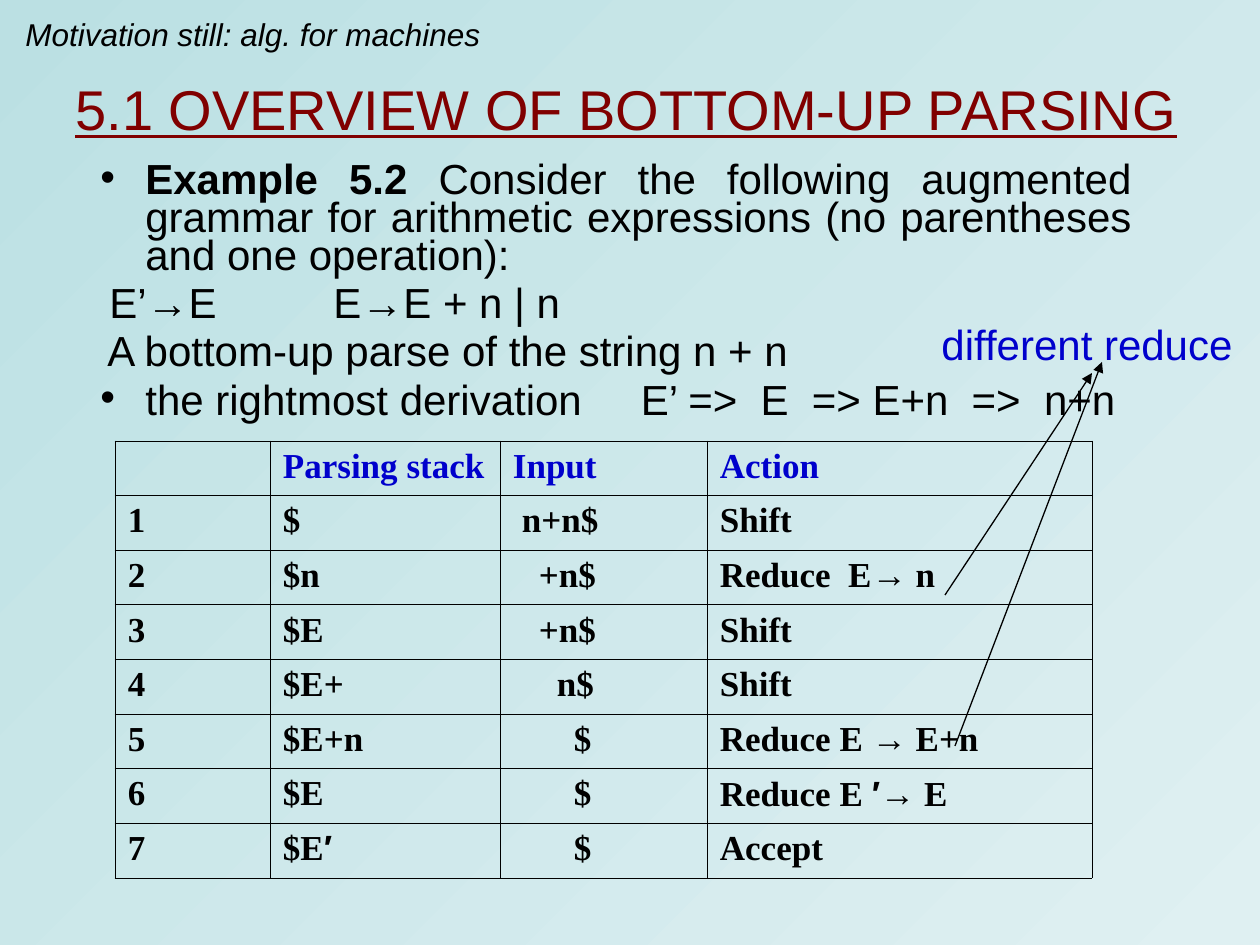
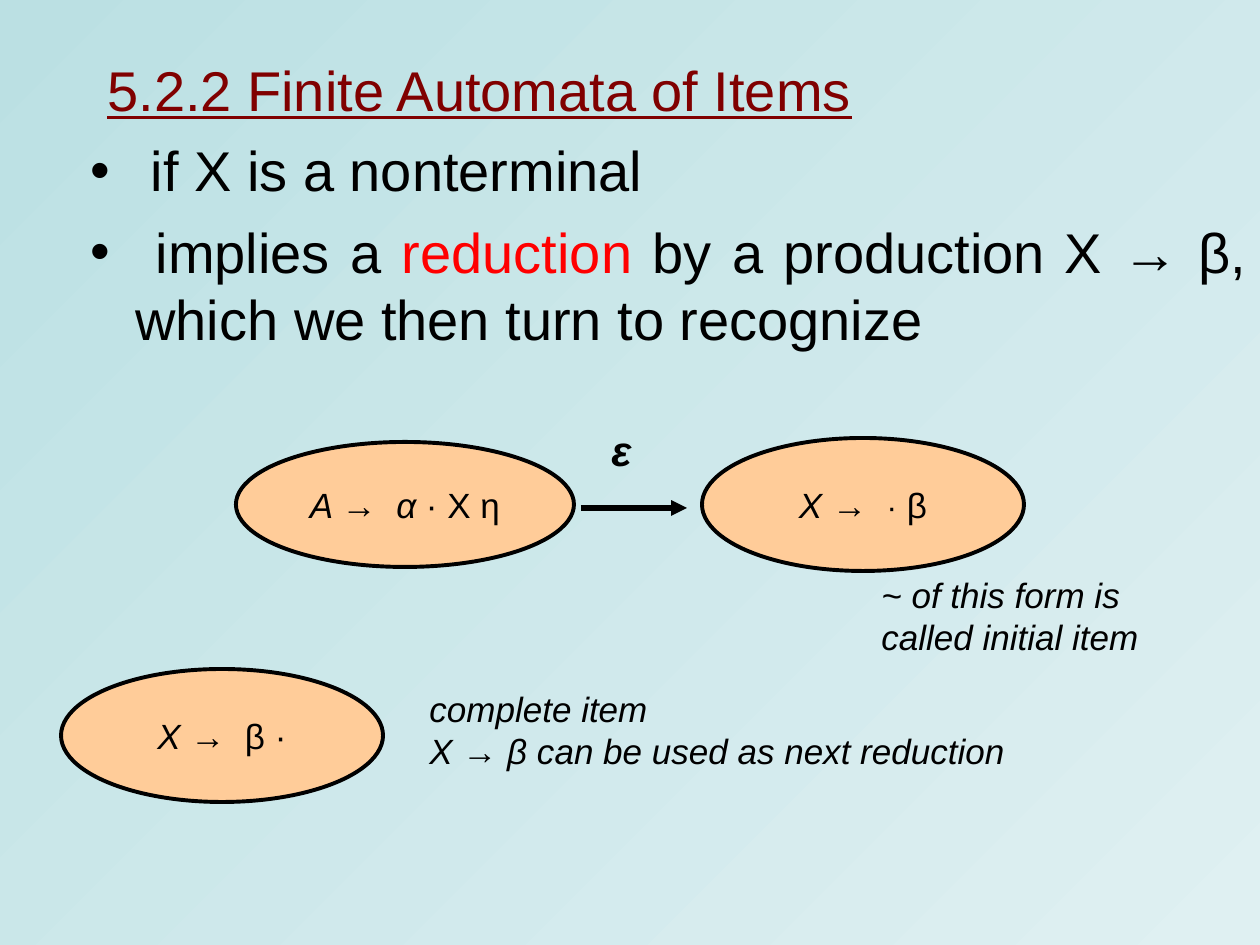
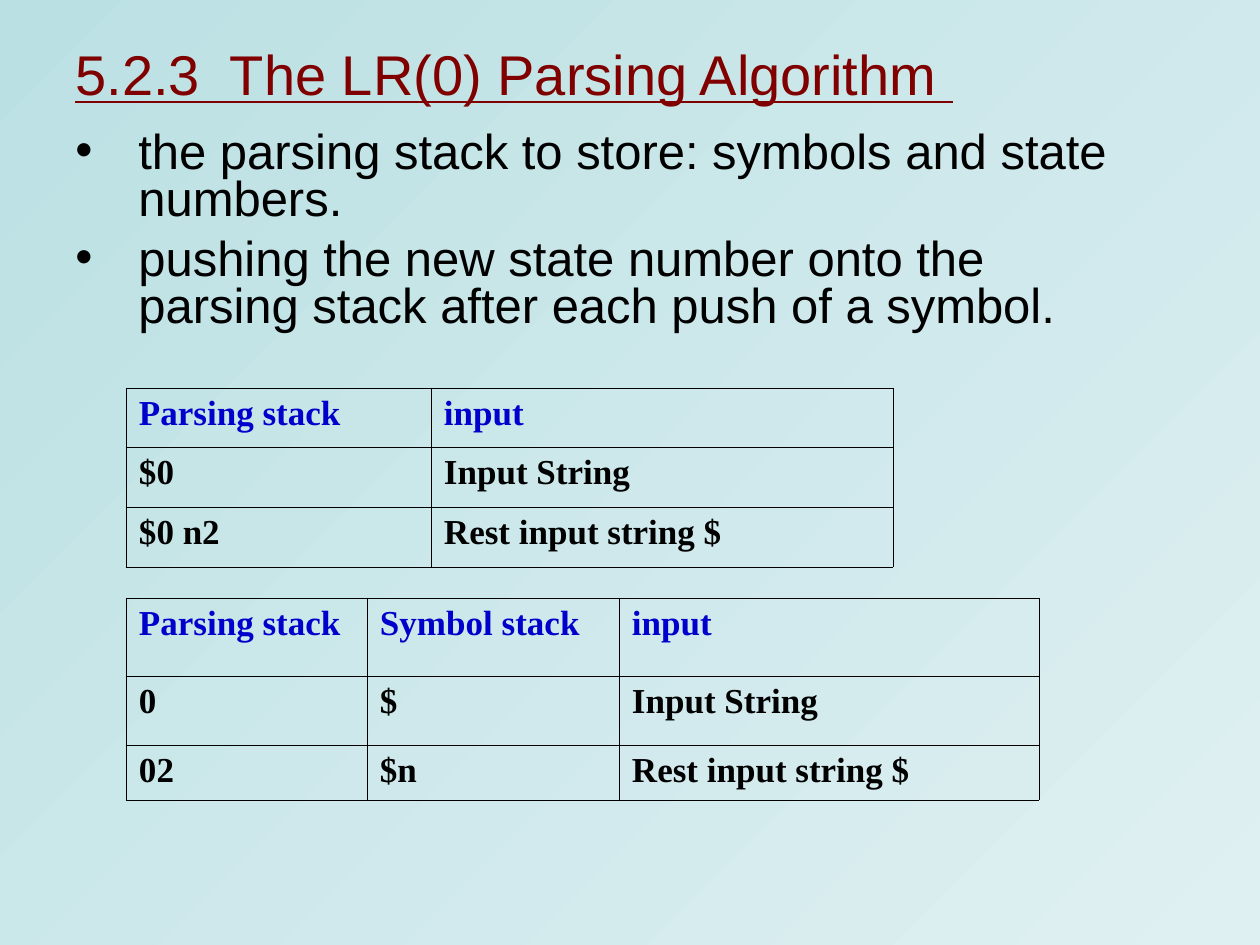
"""Build three slides on bottom-up parsing, item automata and LR(0) parsing."""
from itertools import groupby

from lxml import etree
from pptx import Presentation, util as u
from pptx.dml.color import RGBColor
from pptx.enum import shapes, text
from pptx.oxml.ns import qn

SCALE = 914400 / 126
BLACK, MAROON, BLUE, RED, PEACH = "000000", "800000", "0000CC", "FF0000", "FFCC99"
GRADIENT = ("BBE0E3", "DFF0F2")
JUSTIFY, CENTER = text.PP_ALIGN.JUSTIFY, text.PP_ALIGN.CENTER
MIDDLE = text.MSO_ANCHOR.MIDDLE

TITLE = {"size": 32, "color": MAROON, "underline": True}
ITALIC = {"italic": True}
NOTE = {"size": 20, "italic": True}
STATE = {"size": 20}
BULLET = {"bullet": "•", "left": 60, "indent": -45}
WIDE_BULLET = {"bullet": "•", "left": 63, "indent": -63}
TIGHT = {"line_spacing": 0.75, "space_before": u.Pt(6)}
LOOSE = {"space_before": u.Pt(8), "alignment": JUSTIFY}
COMPACT = {"line_spacing": 0.8, "space_before": u.Pt(7)}

OVERVIEW = {
    "title": ("5.1 OVERVIEW OF BOTTOM-UP PARSING", (63, 21, 1176, 174)),
    "body": ((73, 158, 1071, 284), 24, [
        ([("Example 5.2", {"bold": True}),
          " Consider the following augmented grammar for arithmetic expressions "
          "(no parentheses and one operation):"], {**BULLET, **TIGHT, "alignment": JUSTIFY}),
        (["E’→E", (" ", {"spacing": 60}), "E→E + n | n"], {**TIGHT, "indent": 24}),
        (["A bottom-up parse of the string n + n"], {**TIGHT, "indent": 22}),
        (["the rightmost derivation", (" ", {"spacing": 27}), "E’ =>  E  => E+n  =>  n+n"],
         {**BULLET, **TIGHT, "alignment": JUSTIFY}),
    ]),
    "tables": [((115, 441), (155, 230, 207, 385), [437 / 8] * 8, [
        ("", "Parsing stack", "Input", "Action"),
        ("1", "$", ("n+n$", 9), "Shift"),
        ("2", "$n", ("+n$", 26), "Reduce  E→ n"),
        ("3", "$E", ("+n$", 26), "Shift"),
        ("4", "$E+", ("n$", 44), "Shift"),
        ("5", "$E+n", ("$", 61), "Reduce E → E+n"),
        ("6", "$E", ("$", 61), "Reduce E ′→ E"),
        ("7", "$E′", ("$", 61), "Accept"),
    ])],
    "arrows": [((945, 595), (1092, 373), 0.75), ((955, 746), (1102, 362), 0.75)],
    "labels": [
        ((920, 315, 334, 58), {"size": 24, "color": BLUE},
         [(["different reduce"], {"alignment": CENTER})], {"anchor": MIDDLE, "wrap": False}),
        ((13, 9, 480, 50), {"size": 18, "italic": True},
         [(["Motivation still: alg. for machines"], {})], {"wrap": False}),
    ],
}

AUTOMATA = {
    "title": ("5.2.2 Finite Automata of Items", (95, 53, 1071, 73)),
    "body": ((63, 137, 1197, 410), 32, [
        ([" if X is a nonterminal"], {**BULLET, **LOOSE, "line_spacing": 0.9}),
        ([" implies a ", ("reduction", {"color": RED}),
          " by a production X → β, which we then turn to recognize"], {**BULLET, **LOOSE}),
    ]),
    "states": [
        ((236, 442, 338, 125), [("A ", ITALIC), "→  ", ("α", ITALIC), " · X η"]),
        ((702, 438, 322, 133), [("X ", ITALIC), "→  ", ("·", {"size": 18}), " β"]),
        ((61, 669, 322, 133), [("X ", ITALIC), "→  β ·"]),
    ],
    "arrows": [((581, 508), (687, 508), 3)],
    "labels": [
        ((573, 425, 97, 49), {"size": 24, "bold": True, "italic": True},
         [(["ε"], {"alignment": CENTER})], {"anchor": MIDDLE, "wrap": False}),
        ((869, 567, 284, 97), NOTE, [(["~ of this form is called initial item"], {})], {}),
        ((417, 681, 601, 97), NOTE,
         [(["complete item"], {}), (["X → β can be used as next reduction"], {})],
         {"wrap": False}),
    ],
}

ALGORITHM = {
    "title": ("5.2.3  The LR(0) Parsing Algorithm ", (63, 21, 1176, 105)),
    "body": ((63, 126, 1061, 231), 28, [
        ([line], {**WIDE_BULLET, **COMPACT}) for line in (
            "the parsing stack to store: symbols and state numbers.",
            "pushing the new state number onto the parsing stack after each push of a symbol.")
    ]),
    "tables": [
        ((126, 388), (305, 462), [179 / 3] * 3, [
            ("Parsing stack", "input"),
            ("$0", "Input String"),
            ("$0 n2", "Rest input string $"),
        ]),
        ((126, 598), (241, 252, 420), [78, 69, 55], [
            ("Parsing stack", "Symbol stack", "input"),
            ("0", "$", "Input String"),
            ("02", "$n", "Rest input string $"),
        ]),
    ],
}


def px(length):
    return u.Emu(round(length * SCALE))


def rgb(value):
    return RGBColor.from_string(value)


def add_run(paragraph, words, values):
    values = {"name": "Arial", "color": BLACK, **values}
    run = paragraph.add_run()
    run.text = words
    run.font.color.rgb = rgb(values.pop("color"))
    spacing = values.pop("spacing", None)
    if spacing:
        run.font._element.set("spc", str(spacing * 100))
    values["size"] = u.Pt(values["size"])
    for name, value in values.items():
        setattr(run.font, name, value)


def format_paragraph(paragraph, values):
    values = dict(values)
    properties = paragraph._p.get_or_add_pPr()
    properties.set("marL", str(px(values.pop("left", 0))))
    properties.set("indent", str(px(values.pop("indent", 0))))
    bullet = values.pop("bullet", None)
    for name, value in values.items():
        setattr(paragraph, name, value)
    if bullet:
        color = etree.SubElement(properties, qn("a:buClr"))
        etree.SubElement(color, qn("a:srgbClr"), val=BLACK)
        etree.SubElement(properties, qn("a:buFont"), typeface="Arial")
        etree.SubElement(properties, qn("a:buChar"), char=bullet)


def write(frame, paragraphs, font, anchor=text.MSO_ANCHOR.TOP, wrap=True):
    frame.word_wrap = wrap
    frame.vertical_anchor = anchor
    for number, (runs, values) in enumerate(paragraphs):
        paragraph = frame.add_paragraph() if number else frame.paragraphs[0]
        format_paragraph(paragraph, values)
        for run in runs:
            words, extra = (run, {}) if isinstance(run, str) else run
            add_run(paragraph, words, {**font, **extra})


def add_label(slide, box, font, paragraphs, layout):
    shape = slide.shapes.add_textbox(*map(px, box))
    write(shape.text_frame, paragraphs, font, **layout)


def add_state(slide, box, runs):
    shape = slide.shapes.add_shape(shapes.MSO_SHAPE.OVAL, *map(px, box))
    shape.shadow.inherit = False
    shape.fill.solid()
    shape.fill.fore_color.rgb = rgb(PEACH)
    shape.line.color.rgb = rgb(BLACK)
    shape.line.width = u.Pt(2.25)
    write(shape.text_frame, [(runs, {"alignment": CENTER})], STATE, MIDDLE, False)


def add_arrow(slide, start, end, width):
    connector = slide.shapes.add_connector(
        shapes.MSO_CONNECTOR.STRAIGHT, *map(px, start + end))
    connector.line.color.rgb = rgb(BLACK)
    connector.line.width = u.Pt(width)
    etree.SubElement(connector.line._get_or_add_ln(), qn("a:tailEnd"), type="triangle")
    etree.SubElement(connector._element.spPr, qn("a:effectLst"))


def add_borders(cell):
    properties = cell._tc.get_or_add_tcPr()
    for side in ("L", "R", "T", "B"):
        line = etree.SubElement(properties, qn("a:ln" + side), w=str(u.Pt(0.45)))
        fill = etree.SubElement(line, qn("a:solidFill"))
        etree.SubElement(fill, qn("a:srgbClr"), val=BLACK)


def fill_cell(cell, content, color):
    words, indent = (content, 0) if isinstance(content, str) else content
    add_borders(cell)
    cell.fill.background()
    cell.margin_left = cell.margin_right = px(13)
    cell.margin_top = cell.margin_bottom = px(6)
    paragraph = cell.text_frame.paragraphs[0]
    format_paragraph(paragraph, {"indent": indent})
    for is_symbol, letters in groupby(words, lambda letter: letter in "→′"):
        name = "Arial" if is_symbol else "Times New Roman"
        add_run(paragraph, "".join(letters),
                {"size": 20, "bold": True, "color": color, "name": name})


def add_parse_table(slide, corner, widths, heights, rows):
    frame = slide.shapes.add_table(
        len(rows), len(widths), *map(px, (*corner, sum(widths), sum(heights))))
    table = frame.table
    table.first_row = table.horz_banding = False
    for column, width in zip(table.columns, widths):
        column.width = px(width)
    for row, height, contents in zip(table.rows, heights, rows):
        row.height = px(height)
        color = BLUE if contents is rows[0] else BLACK
        for cell, content in zip(row.cells, contents):
            fill_cell(cell, content, color)


def set_background(master):
    fill = master.background.fill
    fill.gradient()
    fill.gradient_angle = 315
    for stop, color in zip(fill.gradient_stops, GRADIENT):
        stop.color.rgb = rgb(color)


def add_slide(presentation, content):
    slide = presentation.slides.add_slide(presentation.slide_layouts[6])
    title, title_box = content["title"]
    add_label(slide, title_box, TITLE, [([title], {})], {"anchor": MIDDLE})
    body_box, size, paragraphs = content["body"]
    add_label(slide, body_box, {"size": size}, paragraphs, {})
    for key, draw in (("tables", add_parse_table), ("states", add_state),
                      ("arrows", add_arrow), ("labels", add_label)):
        for item in content.get(key, []):
            draw(slide, *item)


def main():
    presentation = Presentation()
    presentation.slide_width, presentation.slide_height = px(1260), px(945)
    set_background(presentation.slide_master)
    for content in (OVERVIEW, AUTOMATA, ALGORITHM):
        add_slide(presentation, content)
    presentation.save("out.pptx")


if __name__ == "__main__":
    main()
